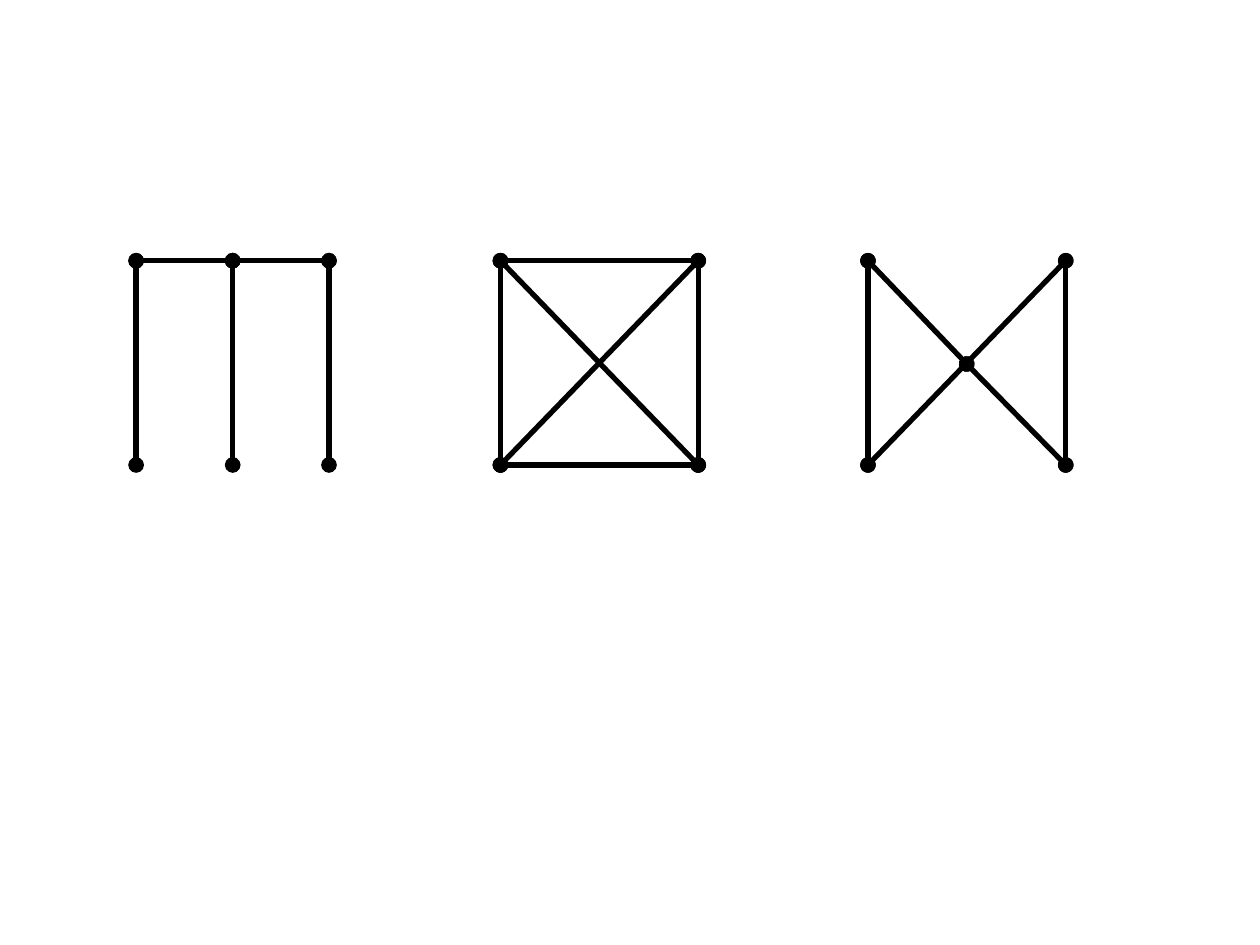
from dataclasses import dataclass

from pptx import Presentation
from pptx.dml.color import RGBColor
from pptx.enum.shapes import MSO_CONNECTOR
from pptx.oxml.ns import qn
from pptx.util import Pt
from lxml.etree import SubElement


@dataclass(frozen=True)
class Theme:
    ink: RGBColor = RGBColor(0, 0, 0)
    paper: RGBColor = RGBColor(255, 255, 255)
    width: float = 3


@dataclass(frozen=True)
class Graph:
    """Nodes by letter, in points; each edge is a pair of letters."""
    nodes: dict[str, tuple[float, float]]
    edges: str


THEME = Theme()
TOP, MID, BASE = 149, 208, 265.7


def corners(left: float, right: float) -> dict[str, tuple[float, float]]:
    return {"a": (left, TOP), "b": (right, TOP),
            "c": (right, BASE), "d": (left, BASE)}


def draw_edge(shapes, start: tuple[float, float], end: tuple[float, float]) -> None:
    edge = shapes.add_connector(
        MSO_CONNECTOR.STRAIGHT, *(Pt(v) for v in start + end))
    edge.line.width = Pt(THEME.width)
    edge.line.color.rgb = THEME.ink
    # Round nodes at both ends, no shadow
    props = edge.line._get_or_add_ln()
    for tag in ("a:headEnd", "a:tailEnd"):
        SubElement(props, qn(tag), type="oval")
    SubElement(edge._element.spPr, qn("a:effectLst"))


def draw_graph(slide, graph: Graph) -> None:
    group = slide.shapes.add_group_shape()
    for start, end in graph.edges.split():
        draw_edge(group.shapes, graph.nodes[start], graph.nodes[end])


# Comb: three teeth hanging from a bar
COMB = Graph(
    {name + row: (x, y) for name, x in ()
     for row, y in ()} | corners(77.8, 188)
    | {"m": (133, TOP), "n": (133, BASE)},
    "am mn da mb bc")

# Bow tie: two triangles sharing the middle node
BOW = Graph(corners(496, 609) | {"m": (552.4, MID)}, "da cb am mc bd")

# Complete graph on four nodes
FULL = Graph(corners(286, 399), "da ab bc cd bd ac")


def main() -> None:
    deck = Presentation()
    deck.slide_width, deck.slide_height = Pt(720), Pt(540)
    slide = deck.slides.add_slide(deck.slide_layouts[6])
    fill = slide.background.fill
    fill.solid()
    fill.fore_color.rgb = THEME.paper
    for graph in (COMB, BOW, FULL):
        draw_graph(slide, graph)
    deck.save("out.pptx")


if __name__ == "__main__":
    main()
